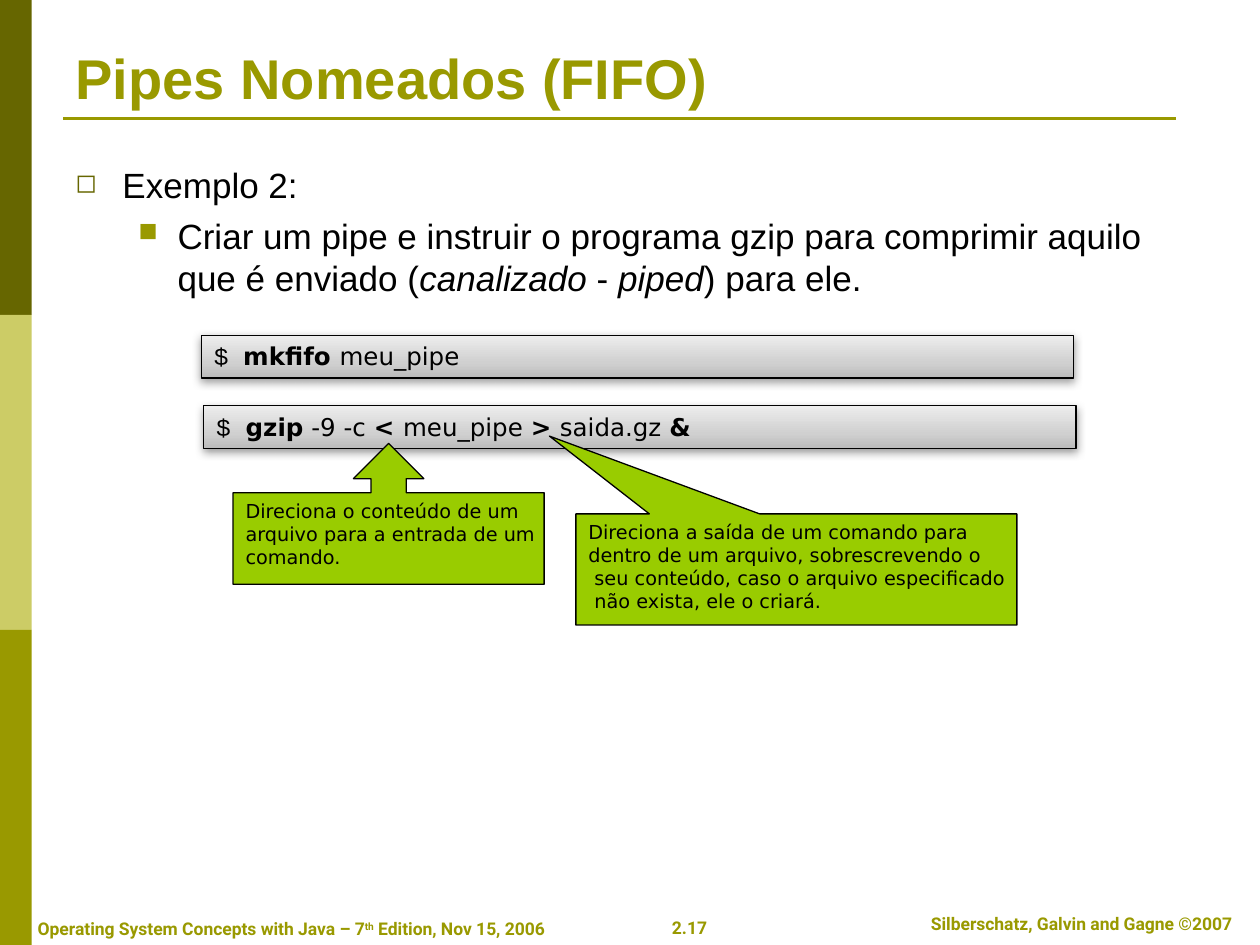
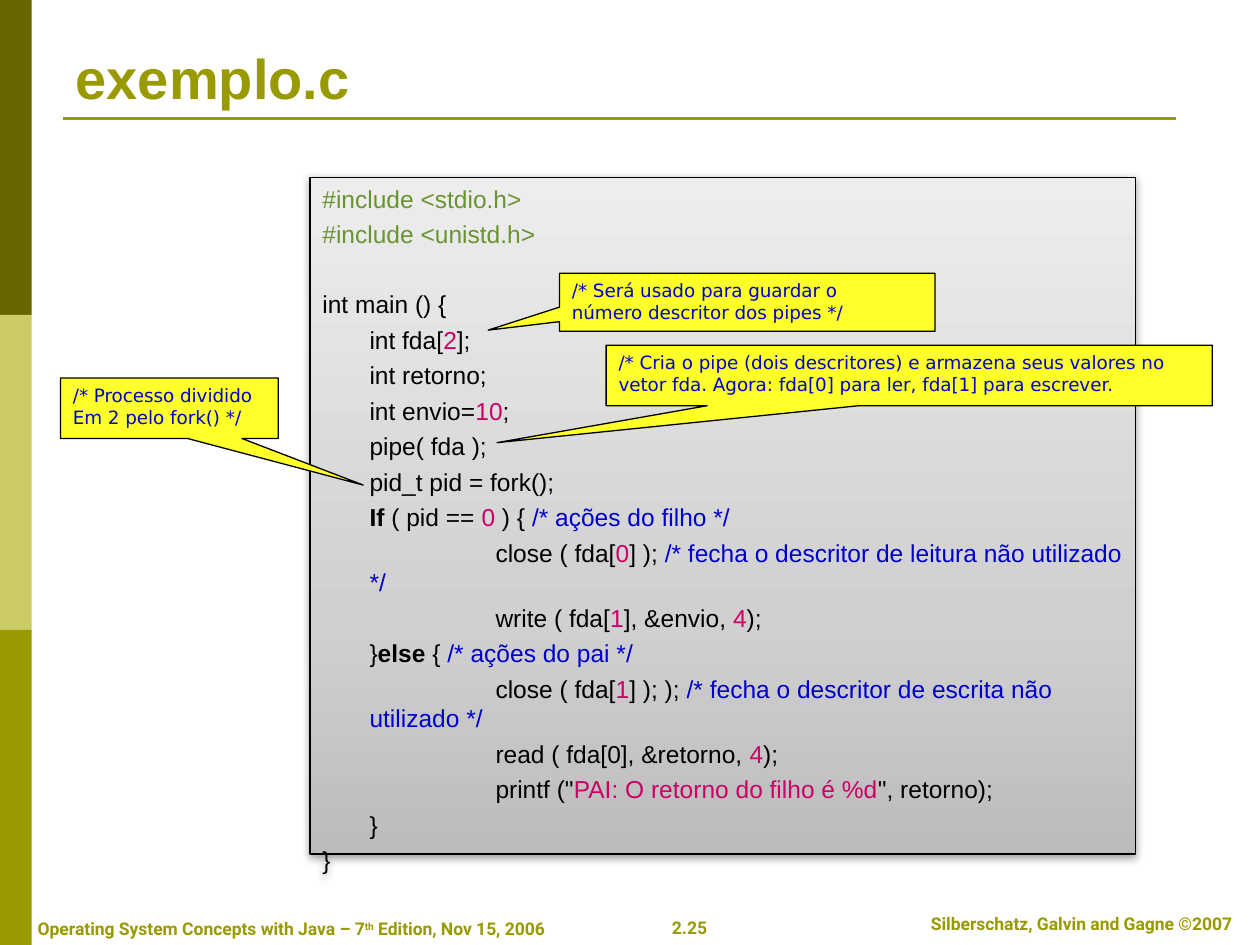
from copy import deepcopy
from dataclasses import dataclass
from typing import Optional

from lxml import etree
from pptx import Presentation
from pptx import util as u
from pptx.dml.color import RGBColor
from pptx.enum import shapes, text
from pptx.oxml import ns

Cm, Pt = u.Cm, u.Pt
Preset = shapes.MSO_SHAPE


@dataclass(frozen=True)
class Theme:
    olive: str = "999900"
    dark_olive: str = "666600"
    pale_olive: str = "CCCC66"
    ink: str = "000000"
    green: str = "99CC00"
    yellow: str = "FFFF29"
    directive: str = "6A9432"
    literal: str = "CC0066"
    comment: str = "0000CC"
    panel_stops: tuple = ((0, "BCBCBC"), (0.35, "D0D0D0"), (1, "EDEDED"))
    main_font: str = "Arial"
    label_font: str = "DejaVu Sans"
    prompt_font: str = "Courier New"
    footer_font: str = "Roboto"
    title_size: float = 32
    body_size: float = 20
    code_size: float = 14
    callout_size: float = 11
    note_size: float = 10.5
    footer_size: float = 10
    outline: float = 0.75


THEME = Theme()


@dataclass(frozen=True)
class Style:
    font: str
    size: float
    color: str = THEME.ink
    bold: bool = False


@dataclass(frozen=True)
class Span:
    """A piece of a line that departs from the line's style."""
    words: str
    color: Optional[str] = None
    font: Optional[str] = None
    bold: bool = False
    italic: bool = False
    raised: bool = False


TITLE = Style(THEME.main_font, THEME.title_size, THEME.olive, True)
BODY = Style(THEME.main_font, THEME.body_size)
CODE = Style(THEME.main_font, THEME.code_size)
COMMAND = Style(THEME.label_font, THEME.code_size)
CALLOUT = Style(THEME.label_font, THEME.callout_size)
NOTE = Style(THEME.label_font, THEME.note_size, THEME.comment)
FOOTER = Style(THEME.footer_font, THEME.footer_size, THEME.olive, True)


def strong(words):
    return Span(words, bold=True)


def literal(words):
    return Span(words, color=THEME.literal)


def comment(words):
    return Span(words, color=THEME.comment)


def directive(words):
    return Span(words, color=THEME.directive)


def rgb(color):
    return RGBColor.from_string(color)


def place(box):
    return [Cm(length) for length in box]


def write_line(paragraph, spans, style):
    for span in spans:
        if isinstance(span, str):
            span = Span(span)
        run = paragraph.add_run()
        run.text = span.words
        run.font.name = span.font or style.font
        run.font.size = Pt(style.size)
        run.font.bold = style.bold or span.bold
        run.font.italic = span.italic
        run.font.color.rgb = rgb(span.color or style.color)
        if span.raised:
            run._r.get_or_add_rPr().set("baseline", "30000")


def write_lines(shape, lines, style, wrap=True, align=text.PP_ALIGN.LEFT):
    """Fill a shape from the top, one paragraph per line; return the paragraphs."""
    frame = shape.text_frame
    frame.word_wrap = wrap
    frame.vertical_anchor = text.MSO_ANCHOR.TOP
    paragraphs = []
    for spans in lines:
        paragraph = frame.add_paragraph() if paragraphs else frame.paragraphs[0]
        paragraph.alignment = align
        write_line(paragraph, spans, style)
        paragraphs.append(paragraph)
    return paragraphs


def indent(paragraph, margin, first_line):
    properties = paragraph._p.get_or_add_pPr()
    properties.set("marL", str(Cm(margin)))
    properties.set("indent", str(Cm(first_line)))


def add_bullet(paragraph, mark, color):
    properties = paragraph._p.get_or_add_pPr()
    tint = etree.SubElement(properties, ns.qn("a:buClr"))
    etree.SubElement(tint, ns.qn("a:srgbClr"), val=color)
    etree.SubElement(properties, ns.qn("a:buSzPct"), val="75000")
    etree.SubElement(properties, ns.qn("a:buChar"), char=mark)


def add_block(slide, preset, box, fill=None, outlined=True):
    block = slide.shapes.add_shape(preset, *place(box))
    block.shadow.inherit = False
    if fill:
        block.fill.solid()
        block.fill.fore_color.rgb = rgb(fill)
    if outlined:
        block.line.color.rgb = rgb(THEME.ink)
        block.line.width = Pt(THEME.outline)
    else:
        block.line.fill.background()
    return block


def add_panel(slide, box):
    """Grey gradient box with a soft shadow below it."""
    panel = add_block(slide, Preset.RECTANGLE, box)
    panel.fill.gradient()
    panel.fill.gradient_angle = 90
    properties = panel._element.spPr
    stops = properties.find(".//" + ns.qn("a:gsLst"))
    stops.insert(1, deepcopy(stops[0]))
    for stop, (position, color) in zip(panel.fill.gradient_stops, THEME.panel_stops):
        stop.position = position
        stop.color.rgb = rgb(color)
    shadow = etree.SubElement(
        properties.find(ns.qn("a:effectLst")), ns.qn("a:outerShdw"),
        blurRad=str(Pt(5)), dist=str(Pt(1.6)), dir="5400000", rotWithShape="0")
    shade = etree.SubElement(shadow, ns.qn("a:srgbClr"), val=THEME.ink)
    etree.SubElement(shade, ns.qn("a:alpha"), val="38000")
    return panel


def add_command(slide, left, top, spans):
    panel = add_panel(slide, (left, top, 17.58, 0.86))
    prompt = Span("$\u00a0", font=THEME.prompt_font)
    write_lines(panel, [[prompt, *spans]], COMMAND)


def add_callout(slide, preset, box, fill, style, lines, tip=()):
    callout = add_block(slide, preset, box, fill)
    for index, offset in enumerate(tip):
        callout.adjustments[index] = offset
    write_lines(callout, [[line] for line in lines], style, wrap=False)


def add_code(slide, box, lines):
    """Lines are (depth, space above, spans); deep lines wrap back to depth one."""
    panel = add_panel(slide, box)
    paragraphs = write_lines(panel, [spans for _, _, spans in lines], CODE)
    layout = {0: (0.95, -0.95), 1: (0.95, 0), 2: (0.95, 2.54)}
    for paragraph, (depth, space, _) in zip(paragraphs, lines):
        indent(paragraph, *layout[depth])
        paragraph.space_before = Pt(space)


def add_footer(slide, box, spans, wrap=False, align=text.PP_ALIGN.CENTER):
    footer = slide.shapes.add_textbox(*place(box))
    write_lines(footer, [spans], FOOTER, wrap, align)


def add_base(deck, heading, page):
    """New slide with the side bands, rule, footers and title."""
    slide = deck.slides.add_slide(deck.slide_layouts[5])
    for row, color in enumerate((THEME.dark_olive, THEME.pale_olive, THEME.olive)):
        add_block(slide, Preset.RECTANGLE, (0, row * 6.35, 0.64, 6.35), color, outlined=False)
    rule = slide.shapes.add_connector(
        shapes.MSO_CONNECTOR.STRAIGHT, *place((1.27, 2.39, 23.7, 2.39)))
    rule.line.color.rgb = rgb(THEME.olive)
    rule.line.width = Pt(1.5)
    etree.SubElement(rule._element.spPr, ns.qn("a:effectLst"))

    add_footer(slide, (13.28, 18.36, 1.24, 0.69), [page])
    add_footer(slide, (18.03, 18.29, 7.54, 0.69),
               ["Silberschatz, Galvin and Gagne ©2007"], wrap=True)
    add_footer(slide, (0.51, 18.39, 11.3, 0.69),
               ["Operating System Concepts with Java – 7", Span("th", raised=True),
                " Edition, Nov 15, 2006"], align=text.PP_ALIGN.LEFT)

    title = slide.shapes.title
    title.left, title.top, title.width, title.height = place((1.27, 0.76, 22.86, 1.6))
    write_lines(title, [[heading]], TITLE)
    title.text_frame.vertical_anchor = text.MSO_ANCHOR.BOTTOM
    title.text_frame.auto_size = text.MSO_AUTO_SIZE.NONE
    return slide


def build_named_pipes(deck):
    slide = add_base(deck, "Pipes Nomeados (FIFO)", "2.17")
    body = slide.shapes.add_textbox(*place((1.27, 3.18, 22.86, 12.57)))
    example, task = write_lines(body, [
        ["Exemplo 2:"],
        ["Criar um pipe e instruir o programa gzip para comprimir aquilo que é enviado (",
         Span("canalizado", italic=True), " - ", Span("piped", italic=True), ") para ele."],
    ], BODY)
    for paragraph in (example, task):
        paragraph.space_before = Pt(5)
    indent(example, 0.95, -0.95)
    add_bullet(example, "◻", THEME.dark_olive)
    indent(task, 2.06, -0.79)
    add_bullet(task, "■", THEME.olive)

    add_command(slide, 4.06, 6.76, [strong("mkfifo "), "meu_pipe"])
    add_command(slide, 4.11, 8.18, [
        strong("gzip"), " -9 -c ", strong("< "), "meu_pipe ", strong("> "),
        "saida.gz ", strong("&")])
    add_callout(slide, Preset.UP_ARROW_CALLOUT, (4.7, 8.94, 6.27, 2.84), THEME.green, CALLOUT,
                ["Direciona o conteúdo de um", "arquivo para a entrada de um", "comando."])
    add_callout(slide, Preset.RECTANGULAR_CALLOUT, (11.61, 10.36, 8.89, 2.24),
                THEME.green, CALLOUT,
                ["Direciona a saída de um comando para",
                 "dentro de um arquivo, sobrescrevendo o",
                 " seu conteúdo, caso o arquivo especificado",
                 " não exista, ele o criará."], tip=(-0.56, -1.2))


def build_example_code(deck):
    slide = add_base(deck, "exemplo.c", "2.25")
    gap, section_gap = 3.5, 23.1
    add_code(slide, (6.25, 3.58, 16.64, 13.64), [
        (0, gap, [directive("#include <stdio.h>")]),
        (0, gap, [directive("#include <unistd.h>")]),
        (0, section_gap, ["int main () {"]),
        (1, gap, ["int fda[", literal("2"), "];"]),
        (1, gap, ["int retorno;"]),
        (1, gap, ["int envio=", literal("10"), ";"]),
        (1, gap, ["pipe( fda );"]),
        (1, gap, ["pid_t pid = fork();"]),
        (1, gap, [strong("If"), " ( pid == ", literal("0"), " ) { ",
                  comment("/* ações do filho */")]),
        (2, gap, ["close ( fda[", literal("0"), "] ); ",
                  comment("/* fecha o descritor de leitura não utilizado */")]),
        (2, gap, ["write ( fda[", literal("1"), "], &envio, ", literal("4"), ");"]),
        (1, gap, ["}", strong("else"), " { ", comment("/* ações do pai */")]),
        (2, gap, ["close ( fda[", literal("1"), "] ); ); ",
                  comment("/* fecha o descritor de escrita não utilizado */")]),
        (2, gap, ["read ( fda[0], &retorno, ", literal("4"), ");"]),
        (2, gap, ['printf ("', literal("PAI: O retorno do filho é %d"), '", retorno);']),
        (1, gap, ["}"]),
        (0, gap, ["}"]),
    ])
    notes = [
        ((11.28, 5.51, 7.57, 1.17), (-0.69, 0.48),
         ["/* Será usado para guardar o", "número descritor dos pipes */"]),
        ((12.22, 6.96, 12.22, 1.22), (-0.68, 1.11),
         ["/* Cria o pipe (dois descritores) e armazena seus valores no",
          "vetor fda. Agora: fda[0] para ler, fda[1] para escrever."]),
        ((1.22, 7.62, 4.39, 1.22), (0.89, 1.27),
         ["/* Processo dividido", "Em 2 pelo fork() */"]),
    ]
    for box, tip, lines in notes:
        add_callout(slide, Preset.RECTANGULAR_CALLOUT, box, THEME.yellow, NOTE, lines, tip)


def main():
    deck = Presentation()
    deck.slide_width, deck.slide_height = Cm(25.4), Cm(19.05)
    build_named_pipes(deck)
    build_example_code(deck)
    deck.save("out.pptx")


if __name__ == "__main__":
    main()
